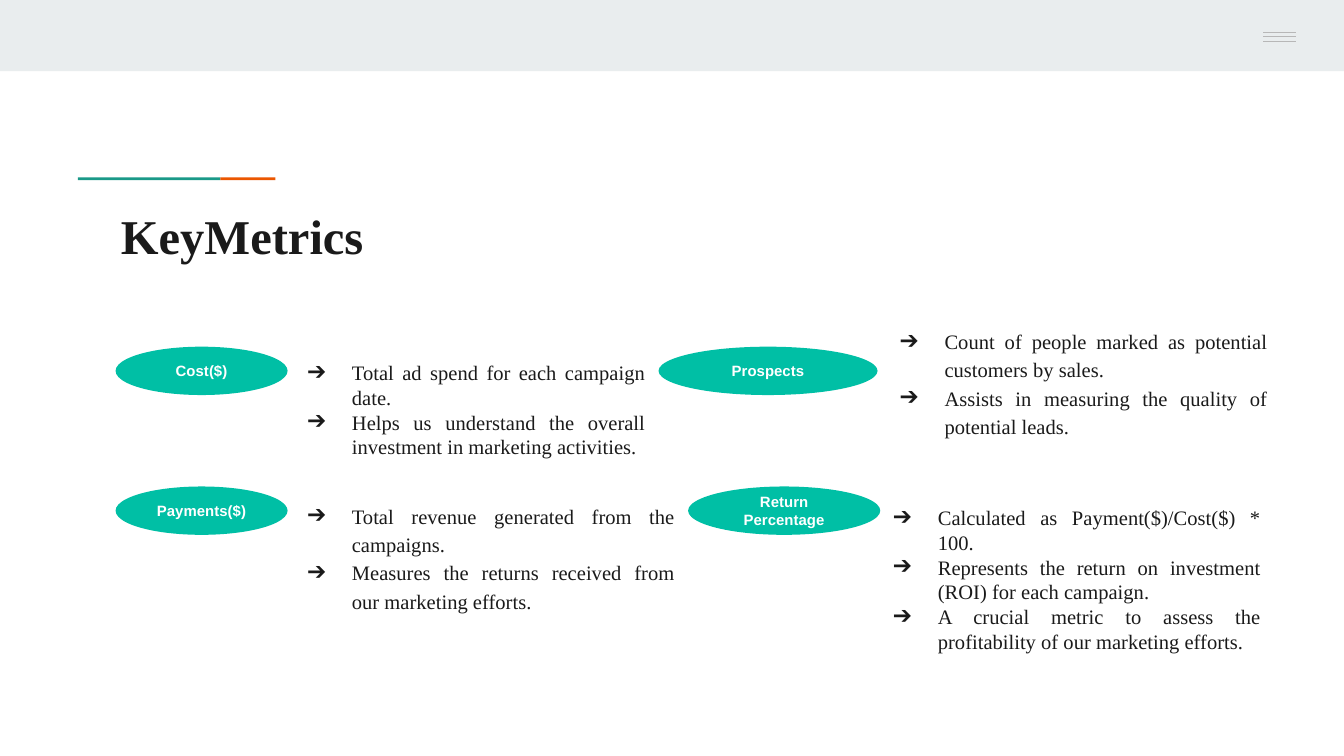
from lxml import etree
from pptx import Presentation
from pptx import util as u
from pptx.dml.color import RGBColor
from pptx.enum import shapes, text
from pptx.oxml.ns import qn

INK = RGBColor(0x1A, 0x1A, 0x1A)
WHITE = RGBColor(0xFF, 0xFF, 0xFF)
BAND = RGBColor(0xE9, 0xED, 0xEE)
TEAL = RGBColor(0x1A, 0x99, 0x88)
ORANGE = RGBColor(0xEB, 0x56, 0x00)
MINT = RGBColor(0x00, 0xBF, 0xA5)
GREY = RGBColor(0xB7, 0xB7, 0xB7)
SERIF = "Times New Roman"

METRICS = [
    ("Cost($)", (0.86, 2.58, 1.28), (2.02, 2.58, 2.88, 1.15), 1,
     ["Total ad spend for each campaign date.",
      "Helps us understand the overall investment in marketing activities."]),
    ("Payments($)", (0.86, 3.62, 1.28), (2.02, 3.62, 3.1, 1.29), 1.15,
     ["Total revenue generated from the campaigns.",
      "Measures the returns received from our marketing efforts."]),
    ("Prospects", (4.9, 2.58, 1.63), (6.43, 2.32, 3.1, 1.15), 1.15,
     ["Count of people marked as potential customers by sales.",
      "Assists in measuring the quality of potential leads."]),
    ("Return Percentage", (5.12, 3.62, 1.43), (6.38, 3.66, 3.1, 1.59), 1,
     ["Calculated as Payment($)/Cost($) * 100.",
      "Represents the return on investment (ROI) for each campaign.",
      "A crucial metric to assess the profitability of our marketing efforts."]),
]


def set_font(paragraph, name, size, color, bold=False):
    """Set the font of a whole paragraph."""
    font = paragraph.font
    font.name, font.size, font.bold = name, u.Pt(size), bold
    font.color.rgb = color


def set_frame(frame, anchor):
    """Give a text frame wrapping, an anchor and equal insets."""
    frame.word_wrap = True
    frame.auto_size = text.MSO_AUTO_SIZE.NONE
    frame.vertical_anchor = anchor
    frame.margin_left = frame.margin_right = u.Inches(0.1)
    frame.margin_top = frame.margin_bottom = u.Inches(0.1)


def add_filled(page, kind, left, top, width, height, color):
    """Add a plain filled shape without outline or shadow."""
    shape = page.shapes.add_shape(kind, *map(u.Inches, (left, top, width, height)))
    shape.shadow.inherit = False
    shape.fill.solid()
    shape.fill.fore_color.rgb = color
    shape.line.fill.background()
    return shape


def add_menu_line(page, top):
    """Add one thin line of the menu icon."""
    line = page.shapes.add_connector(
        shapes.MSO_CONNECTOR.STRAIGHT,
        u.Inches(9.4), u.Inches(top), u.Inches(9.64), u.Inches(top))
    line.line.color.rgb = GREY
    line.line.width = u.Pt(0.75)
    etree.SubElement(line._element.spPr, qn("a:effectLst"))


def add_header(page):
    """Add the top band, the menu icon and the two-colour accent."""
    rectangle = shapes.MSO_SHAPE.RECTANGLE
    add_filled(page, rectangle, 0, 0, 10, 0.53, BAND)
    add_filled(page, rectangle, 0.58, 1.32, 1.06, 0.02, TEAL)
    add_filled(page, rectangle, 1.64, 1.32, 0.41, 0.02, ORANGE)
    for top in (0.24, 0.27, 0.31):
        add_menu_line(page, top)


def set_title(page, words):
    """Place and format the title."""
    title = page.shapes.title
    title.left, title.top = u.Inches(0.8), u.Inches(1.43)
    title.width, title.height = u.Inches(8.41), u.Inches(0.59)
    set_frame(title.text_frame, text.MSO_ANCHOR.TOP)
    paragraph = title.text_frame.paragraphs[0]
    paragraph.text = words
    paragraph.alignment = text.PP_ALIGN.LEFT
    set_font(paragraph, SERIF, 26, INK, True)


def add_label(page, words, left, top, width):
    """Add an oval that names a metric."""
    oval = add_filled(page, shapes.MSO_SHAPE.OVAL, left, top, width, 0.36, MINT)
    set_frame(oval.text_frame, text.MSO_ANCHOR.MIDDLE)
    paragraph = oval.text_frame.paragraphs[0]
    paragraph.text = words
    paragraph.alignment = text.PP_ALIGN.CENTER
    set_font(paragraph, "Arial", 8, WHITE, True)


def add_bullet(paragraph):
    """Give a paragraph an arrow bullet with a hanging indent."""
    properties = paragraph._p.get_or_add_pPr()
    properties.set("marL", str(u.Inches(0.5)))
    properties.set("indent", str(u.Inches(-0.33)))
    color = etree.SubElement(properties, qn("a:buClr"))
    etree.SubElement(color, qn("a:srgbClr"), val=str(INK))
    etree.SubElement(properties, qn("a:buSzPts"), val="1100")
    etree.SubElement(properties, qn("a:buFont"), typeface=SERIF)
    etree.SubElement(properties, qn("a:buChar"), char="➔")


def add_points(page, place, spacing, points):
    """Add a justified list of points."""
    box = page.shapes.add_textbox(*map(u.Inches, place))
    frame = box.text_frame
    set_frame(frame, text.MSO_ANCHOR.TOP)
    for index, words in enumerate(points):
        paragraph = frame.add_paragraph() if index else frame.paragraphs[0]
        paragraph.text = words
        add_bullet(paragraph)
        paragraph.alignment = text.PP_ALIGN.JUSTIFY
        paragraph.line_spacing = float(spacing)
        set_font(paragraph, SERIF, 11, INK)


def main():
    """Build the key metrics slide."""
    deck = Presentation()
    deck.slide_width, deck.slide_height = u.Inches(10), u.Inches(10 * 9 / 16)
    page = deck.slides.add_slide(deck.slide_layouts[5])
    add_header(page)
    set_title(page, "KeyMetrics")
    for name, oval, place, spacing, points in METRICS:
        add_label(page, name, *oval)
        add_points(page, place, spacing, points)
    deck.save("out.pptx")


if __name__ == "__main__":
    main()
